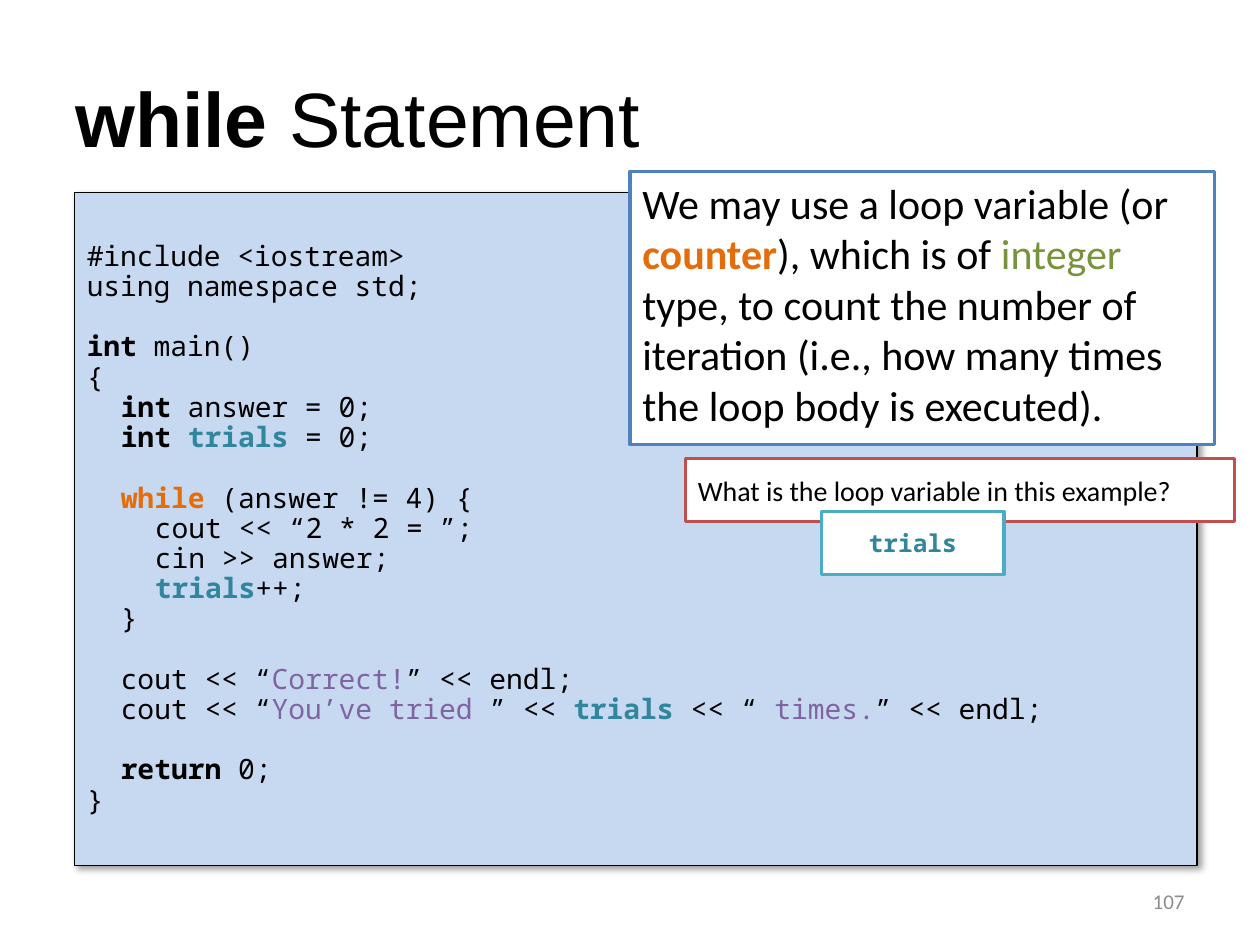
from lxml import etree
from pptx import Presentation
from pptx.dml.color import RGBColor
from pptx.enum import shapes, text
from pptx.oxml.ns import qn
from pptx.util import Inches, Pt

BLACK, WHITE = "000000", "FFFFFF"
ORANGE, GREEN, TEAL, PURPLE = "E46C0A", "77933C", "31859C", "8064A2"
MONO = "Noto Sans Mono"
INDENT_STEP = Inches(0.27)
BLANK_LINE = Pt(17.25)

CODE = [
    (0, False, ["#include <iostream>"]),
    (0, False, ["using namespace std;"]),
    (0, True, [("int", BLACK, True), " main()"]),
    (0, False, ["{"]),
    (1, False, [("int", BLACK, True), " answer = 0;"]),
    (1, False, [("int ", BLACK, True), ("trials", TEAL, True), " = 0;"]),
    (1, True, [("while ", ORANGE, True), "(answer != 4) {"]),
    (2, False, ["cout << “2 * 2 = ”;"]),
    (2, False, ["cin >> answer;"]),
    (2, False, [("trials", TEAL, True), "++;"]),
    (1, False, ["}"]),
    (1, True, ["cout << “", ("Correct!", PURPLE, False), "” << endl;"]),
    (1, False, ["cout << “", ("You’ve tried ", PURPLE, False), "” << ",
                ("trials ", TEAL, True), "<< “", (" times.", PURPLE, False), "” << endl;"]),
    (1, True, [("return", BLACK, True), " 0;"]),
    (0, False, ["}"]),
]


def rgb(value):
    return RGBColor.from_string(value)


def write(paragraph, runs, size, font, color=BLACK, align=text.PP_ALIGN.LEFT,
          level=0, before=0, spacing=1.0):
    paragraph.alignment = align
    paragraph.line_spacing = spacing
    paragraph.space_before = before
    if level:
        paragraph._p.get_or_add_pPr().set("marL", str(level * INDENT_STEP))
    for part in runs:
        content, run_color, bold = (part, color, False) if isinstance(part, str) else part
        run = paragraph.add_run()
        run.text = content
        run.font.size = Pt(size)
        run.font.name = font
        run.font.bold = bold
        run.font.color.rgb = rgb(run_color)


def set_frame(shape, anchor):
    frame = shape.text_frame
    frame.word_wrap = True
    frame.vertical_anchor = anchor
    return frame


def add_label(slide, box, runs, **style):
    shape = slide.shapes.add_textbox(*map(Inches, box))
    frame = set_frame(shape, text.MSO_ANCHOR.MIDDLE)
    write(frame.paragraphs[0], runs, **style)


def add_panel(slide, box, fill, line, width, anchor=text.MSO_ANCHOR.MIDDLE):
    shape = slide.shapes.add_shape(shapes.MSO_SHAPE.RECTANGLE, *map(Inches, box))
    shape.shadow.inherit = False
    shape.fill.solid()
    shape.fill.fore_color.rgb = rgb(fill)
    shape.line.color.rgb = rgb(line)
    shape.line.width = Pt(width)
    set_frame(shape, anchor)
    return shape


def add_shadow(shape):
    effects = shape._element.spPr.find(qn("a:effectLst"))
    shadow = etree.SubElement(effects, qn("a:outerShdw"), blurRad=str(Pt(4)),
                              dist=str(Pt(3)), dir="2700000", algn="tl", rotWithShape="0")
    color = etree.SubElement(shadow, qn("a:srgbClr"), val=BLACK)
    etree.SubElement(color, qn("a:alpha"), val="40000")


def add_code(slide, box):
    panel = add_panel(slide, box, "C6D9F1", BLACK, 0.75)
    add_shadow(panel)
    frame = panel.text_frame
    for index, (level, gap, runs) in enumerate(CODE):
        paragraph = frame.add_paragraph() if index else frame.paragraphs[0]
        write(paragraph, runs, size=16, font=MONO, level=level,
              before=BLANK_LINE if gap else 0, spacing=0.9)


def add_callout(slide, box, line, runs, anchor=text.MSO_ANCHOR.MIDDLE, **style):
    panel = add_panel(slide, box, WHITE, line, 2, anchor)
    write(panel.text_frame.paragraphs[0], runs, **style)


def main():
    presentation = Presentation()
    presentation.slide_width, presentation.slide_height = Inches(10), Inches(7.5)
    slide = presentation.slides.add_slide(presentation.slide_layouts[6])

    add_label(slide, (0.5, 0.3, 9, 1.25), [("while", BLACK, True), " Statement"],
              size=44, font="Arial")
    add_label(slide, (7.17, 6.95, 2.33, 0.4), ["107"], size=12, font="Calibri",
              color="8C8C8C", align=text.PP_ALIGN.RIGHT)
    add_code(slide, (0.59, 1.53, 8.91, 5.34))
    add_callout(slide, (5, 1.36, 4.64, 2.17), "4F81BD",
                ["We may use a loop variable (or ", ("counter", ORANGE, True),
                 "), which is of ", ("integer", GREEN, False),
                 " type, to count the number of iteration (i.e., how many times "
                 "the loop body is executed)."],
                anchor=text.MSO_ANCHOR.TOP, size=24, font="Calibri")
    add_callout(slide, (5.44, 3.64, 4.36, 0.5), "C0504D",
                ["What is the loop variable in this example?"], size=16, font="Calibri")
    add_callout(slide, (6.52, 4.06, 1.45, 0.5), "4BACC6", [("trials", TEAL, True)],
                size=14, font=MONO, align=text.PP_ALIGN.CENTER)

    presentation.save("out.pptx")


if __name__ == "__main__":
    main()
